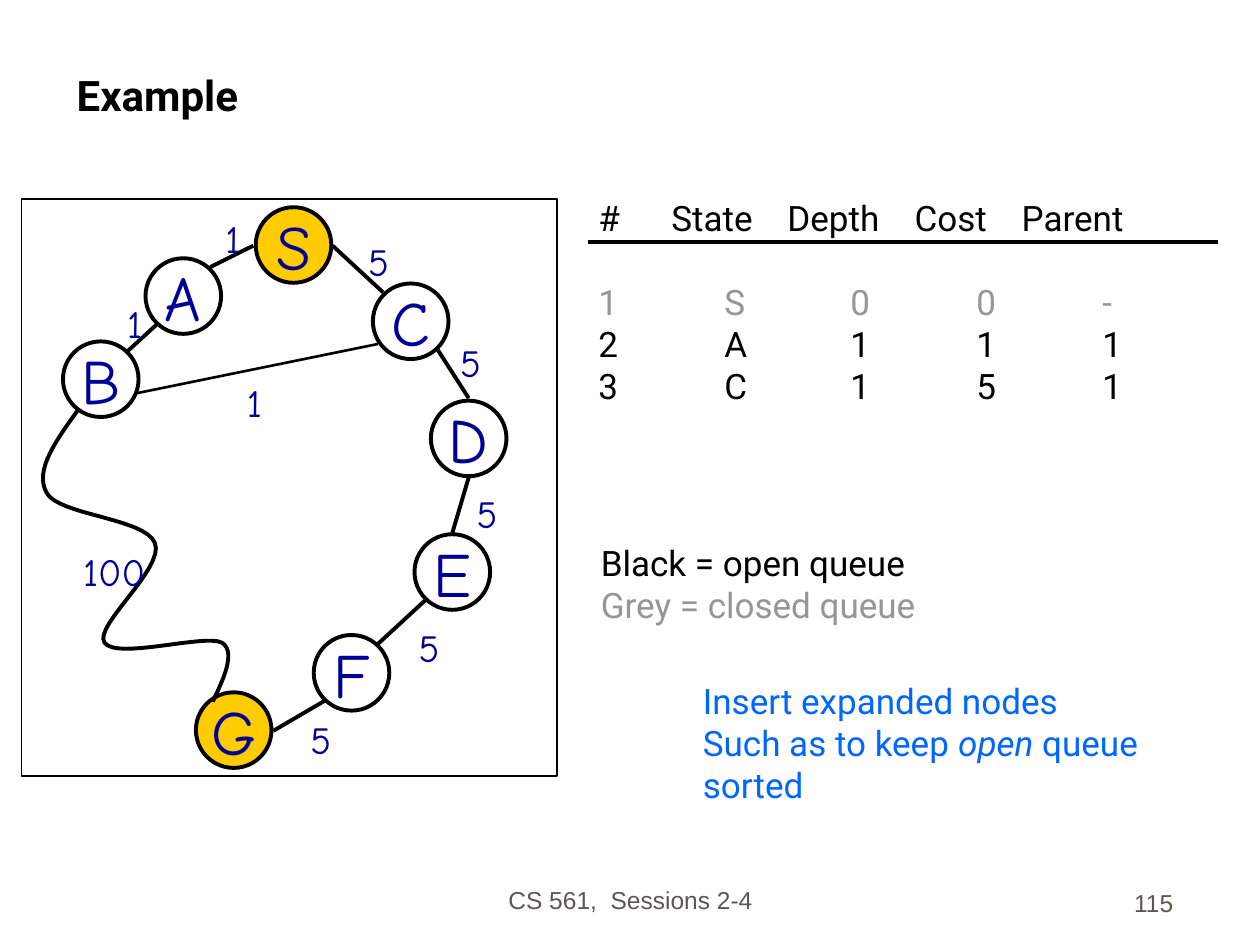
from lxml.etree import SubElement
from pptx import Presentation
from pptx.dml.color import RGBColor
from pptx.enum.shapes import MSO_CONNECTOR as Link, MSO_SHAPE as Shape
from pptx.enum.text import MSO_ANCHOR as Anchor, PP_ALIGN as Align
from pptx.oxml.ns import qn
from pptx.util import Inches, Pt

BLACK = RGBColor(0x00, 0x00, 0x00)
WHITE = RGBColor(0xFF, 0xFF, 0xFF)
GOLD = RGBColor(0xFF, 0xCC, 0x00)
NAVY = RGBColor(0x00, 0x00, 0x99)
GREY = RGBColor(0x96, 0x96, 0x96)
BLUE = RGBColor(0x00, 0x66, 0xFF)
TAUPE = RGBColor(0x5E, 0x57, 0x4E)

COLS, ROWS = 100, 75  # all places and sizes count cells of this grid
CELL = Inches(10) // COLS
NODE = 6

NODES = [  # name, centre, fill
    ("S", 23.3, 19.45, GOLD), ("A", 14.55, 23.5, WHITE),
    ("B", 8, 30.1, WHITE), ("C", 32.6, 25.5, WHITE),
    ("D", 37.2, 34.8, WHITE), ("E", 35.9, 45.4, WHITE),
    ("F", 27.9, 53.4, WHITE), ("G", 18.55, 57.95, GOLD),
]
EDGES = [  # start, end, line width, cost, centre of cost
    ((20.1, 19.5), (16.7, 21.2), 2.25, "1", (18.5, 18.95)),
    ((12.5, 25.7), (10.1, 27.9), 2.25, "1", (10.7, 25.65)),
    ((10.9, 31.2), (30, 27.3), 1.5, "1", (20.2, 31.95)),
    ((26.4, 19.5), (30.4, 23.2), 2.25, "5", (30.05, 20.75)),
    ((34.7, 27.7), (37.2, 31.6), 2.25, "5", (37.35, 28.75)),
    ((37.2, 37.9), (35.9, 42.3), 2.25, "5", (38.65, 40.75)),
    ((33.8, 47.6), (30, 51.1), 2.25, "5", (34.05, 51.35)),
    ((25.8, 55.6), (21.7, 58), 2.25, "5", (25.45, 58.65)),
]
BEND = [  # first point, then two handles and an end for each curve
    (6.3, 32.4),
    (4.5, 34.9), (2.7, 37.3), (3.7, 39.1),
    (4.6, 40.9), (11.5, 41.1), (12.3, 43.1),
    (13.1, 45.1), (7.4, 49.7), (8.3, 51),
    (9.2, 52.4), (16.2, 50.3), (17.6, 51),
    (19, 51.8), (17.2, 54.9), (16.9, 55.7),
]
HEAD = ["#", "State", "Depth", "Cost", "Parent"]
QUEUE = [
    ("1\tS\t0\t0\t-", GREY),
    ("2\tA\t1\t1\t1", BLACK),
    ("3\tC\t1\t5\t1", BLACK),
]


def cells(*counts):
    return [round(count * CELL) for count in counts]


def write(frame, lines, size, font="Roboto", bold=None, align=Align.LEFT):
    """Fill a frame with (text, colour) lines; *stars* mark italics."""
    for i, (text, color) in enumerate(lines):
        para = frame.paragraphs[0] if i == 0 else frame.add_paragraph()
        for j, part in enumerate(text.split("*")):
            run = para.add_run()
            run.text = part
            if j % 2:
                run.font.italic = True
        para.alignment = align
        para.font.name, para.font.size = font, Pt(size)
        para.font.bold = bold
        para.font.color.rgb = color


def add_text(slide, box, lines, size, wrap=True, anchor=Anchor.TOP, **style):
    frame = slide.shapes.add_textbox(*cells(*box)).text_frame
    frame.word_wrap = wrap
    frame.vertical_anchor = anchor
    write(frame, lines, size, **style)
    return frame


def add_form(slide, kind, box, fill, width):
    form = slide.shapes.add_shape(kind, *cells(*box))
    form.shadow.inherit = False
    form.fill.solid()
    form.fill.fore_color.rgb = fill
    form.line.color.rgb = BLACK
    form.line.width = Pt(width)
    return form


def add_node(slide, name, x, y, fill):
    box = (x - NODE / 2, y - NODE / 2, NODE, NODE)
    frame = add_form(slide, Shape.OVAL, box, fill, 2.25).text_frame
    frame.word_wrap = False
    frame.vertical_anchor = Anchor.MIDDLE
    write(frame, [(name, NAVY)], 36, font="Comic Neue", align=Align.CENTER)


def add_line(slide, start, end, width=2.25):
    line = slide.shapes.add_connector(Link.STRAIGHT, *cells(*start, *end))
    line.line.color.rgb = BLACK
    line.line.width = Pt(width)
    SubElement(line.element.spPr, qn("a:effectLst"))


def add_cost(slide, cost, x, y):
    wide, high = 2.1 + 1.7 * len(cost), 4.7
    add_text(slide, (x - wide / 2, y - high / 2, wide, high), [(cost, NAVY)],
             22, wrap=False, font="Comic Neue", align=Align.CENTER)


def add_bend(slide, points, steps=16):
    """Draw an open chain of cubic curves as one smooth outline."""
    trace = []
    for i in range(0, len(points) - 1, 3):
        for step in range(1, steps + 1):
            t = step / steps
            u = 1 - t
            parts = (u ** 3, 3 * u * u * t, 3 * u * t * t, t ** 3)
            trace.append(cells(*(
                sum(w * p[axis] for w, p in zip(parts, points[i:i + 4]))
                for axis in (0, 1))))
    pen = slide.shapes.build_freeform(*cells(*points[0]))
    pen.add_line_segments(trace, close=False)
    bend = pen.convert_to_shape()
    bend.shadow.inherit = False
    bend.fill.background()
    bend.line.color.rgb = BLACK
    bend.line.width = Pt(2.25)


def set_tabs(para, stops):
    tabs = SubElement(para._p.get_or_add_pPr(), qn("a:tabLst"))
    for stop in cells(*stops):
        SubElement(tabs, qn("a:tab"), pos=str(stop), algn="l")


def add_queue(slide):
    frame = slide.shapes.add_textbox(*cells(46.5, 15.1, 49.9, 17.7)).text_frame
    frame.word_wrap = True
    set_tabs(frame.paragraphs[0], (5.8, 15, 25.1, 33.6))
    for _ in QUEUE:
        set_tabs(frame.add_paragraph(), (10, 20, 30, 40))
    lines = [("\t".join(HEAD), BLACK)] + QUEUE
    for para, (text, color) in zip(frame.paragraphs, lines):
        para.add_run().text = text
        para.font.name, para.font.size = "Roboto", Pt(20)
        para.font.color.rgb = color
    frame.paragraphs[1].space_before = Pt(24)
    add_line(slide, (46.7, 19.2), (96.7, 19.2))


def add_graph(slide):
    add_form(slide, Shape.RECTANGLE, (1.7, 15.8, 42.5, 45.8), WHITE, 0.75)
    for node in NODES:
        add_node(slide, *node)
    add_bend(slide, BEND)
    add_cost(slide, "100", 9.05, 45.35)
    for start, end, width, cost, spot in EDGES:
        add_line(slide, start, end, width)
        add_cost(slide, cost, *spot)


def main():
    deck = Presentation()
    deck.slide_width, deck.slide_height = COLS * CELL, ROWS * CELL
    slide = deck.slides.add_slide(deck.slide_layouts[6])
    add_text(slide, (5.1, 2.5, 89.2, 7.5), [("Example", BLACK)], 24,
             anchor=Anchor.BOTTOM, bold=True)
    add_graph(slide)
    add_queue(slide)
    add_text(slide, (46.7, 42.5, 27.5, 7.7),
             [("Black = open queue", BLACK), ("Grey = closed queue", GREY)],
             20, wrap=False)
    add_text(slide, (54.8, 53.4, 36.8, 11),
             [("Insert expanded nodes", BLUE),
              ("Such as to keep *open* queue", BLUE), ("sorted", BLUE)],
             20, wrap=False)
    for text, box, align in (
            ("CS 561,  Sessions 2-4", (34.2, 68.1, 31.7, 5), Align.CENTER),
            ("115", (73.3, 68.3, 20.8, 5), Align.RIGHT)):
        add_text(slide, box, [(text, TAUPE)], 14, anchor=Anchor.BOTTOM,
                 font="Arial", align=align)
    deck.save("out.pptx")


if __name__ == "__main__":
    main()
